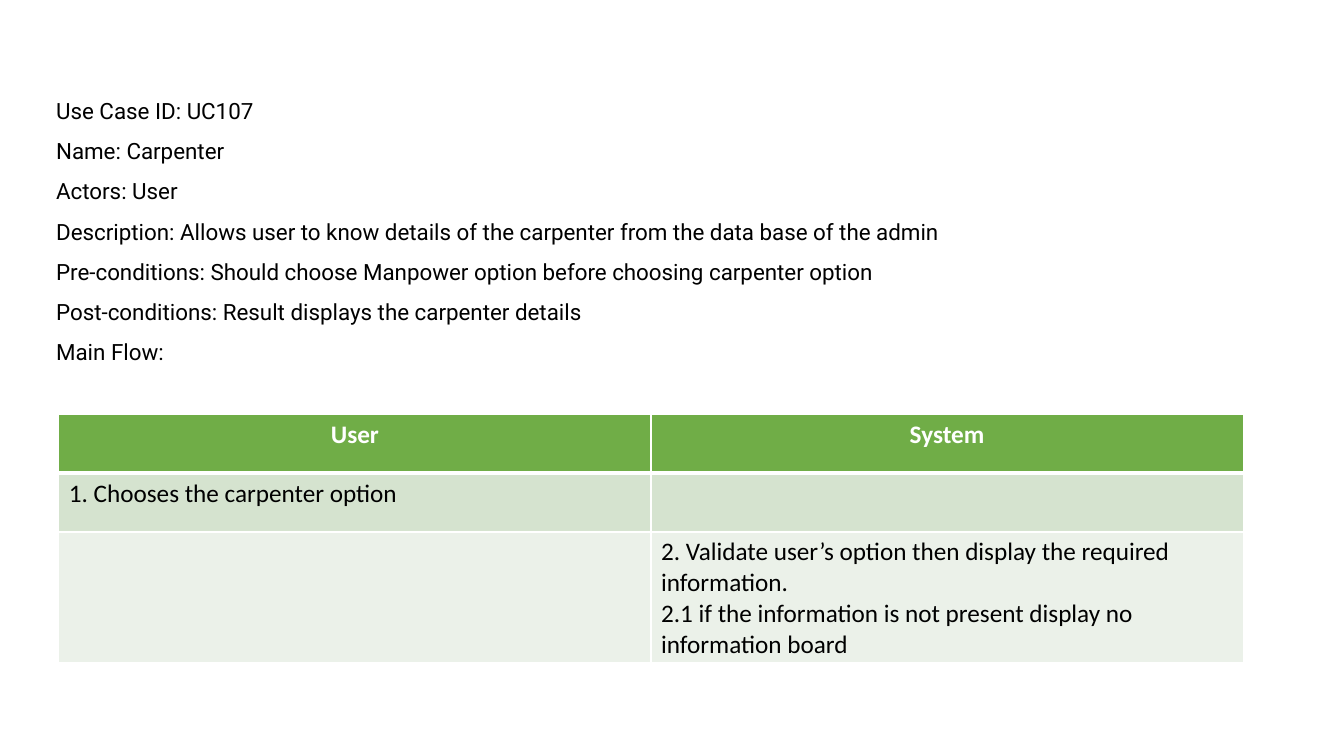
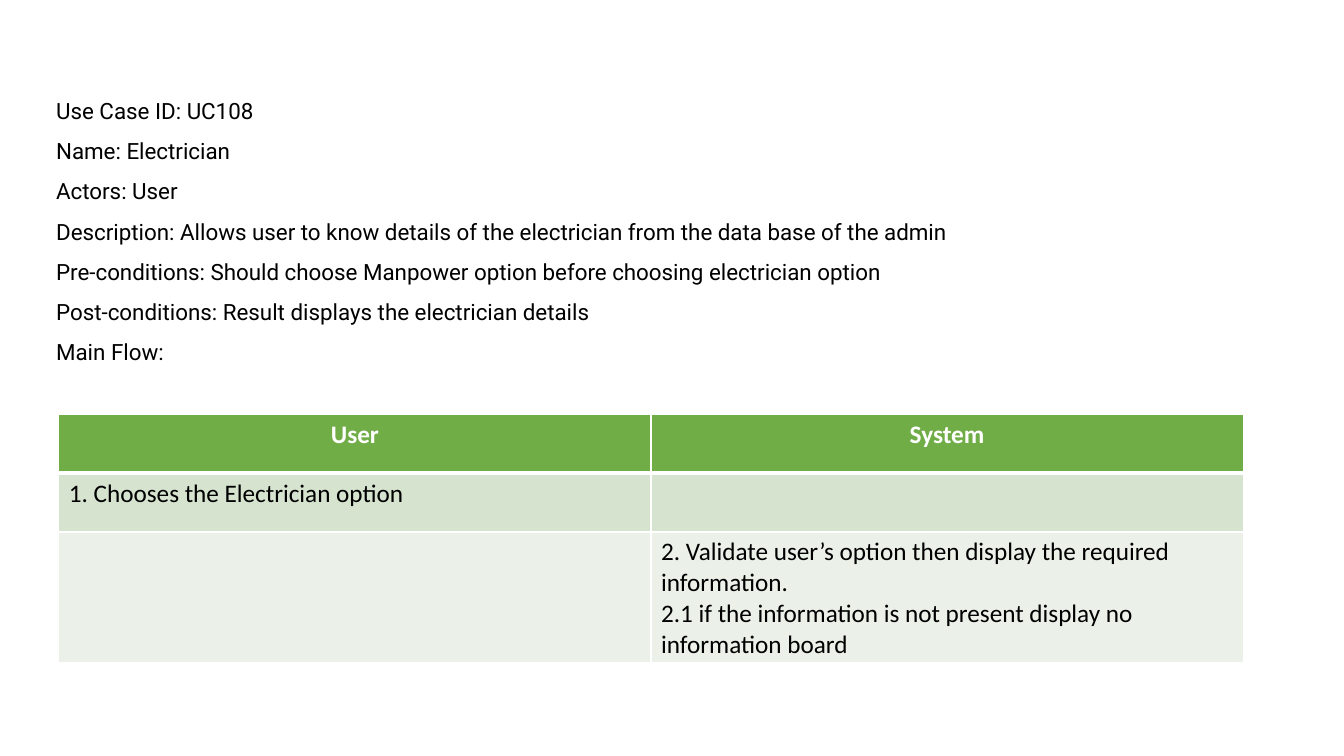
from lxml import etree
from pptx import Presentation
from pptx.dml.color import RGBColor
from pptx.enum.text import MSO_AUTO_SIZE, PP_ALIGN
from pptx.oxml.ns import qn
from pptx.util import Pt

LEFT, CENTER = PP_ALIGN.LEFT, PP_ALIGN.CENTER
FIT_SHAPE = MSO_AUTO_SIZE.SHAPE_TO_FIT_TEXT

COLORS = {
    "text": "000000",
    "white": "FFFFFF",
    "header": "70AD47",
    "band_dark": "D5E3CF",
    "band_light": "EBF1E9",
}
ROW_FILLS = ["header", "band_dark", "band_light"]
ROW_HEIGHTS = [42, 42, 93]
COL_WIDTH = 423

# ID, name, name as written in the first step
USE_CASES = [
    ("UC107", "Carpenter", "carpenter"),
    ("UC108", "Electrician", "Electrician"),
]


def write(tf, lines, font="Calibri", size=18, color="text", bold=False,
          align=LEFT, spacing=None):
    for i, line in enumerate(lines):
        p = tf.add_paragraph() if i else tf.paragraphs[0]
        p.alignment = align
        p.line_spacing = spacing
        r = p.add_run()
        r.text = line
        r.font.name = font
        r.font.size = Pt(size)
        r.font.bold = bold
        r.font.color.rgb = RGBColor.from_string(COLORS[color])


def set_borders(cell, **widths):
    tcPr = cell._tc.get_or_add_tcPr()
    for i, side in enumerate("LRTB"):  # borders come before the fill
        ln = etree.Element(qn(f"a:ln{side}"), w=str(Pt(widths.get(side, 1))))
        fill = etree.SubElement(ln, qn("a:solidFill"))
        etree.SubElement(fill, qn("a:srgbClr"), val=COLORS["white"])
        tcPr.insert(i, ln)


prs = Presentation()
prs.slide_width, prs.slide_height = Pt(960), Pt(540)

for case_id, name, step_name in USE_CASES:
    s = prs.slides.add_slide(prs.slide_layouts[6])
    role = name.lower()

    # Use case summary
    tf = s.shapes.add_textbox(Pt(33), Pt(56), Pt(893), Pt(207)).text_frame
    tf.word_wrap = True
    tf.auto_size = FIT_SHAPE
    write(tf, [
        f"Use Case ID: {case_id}",
        f"Name: {name}",
        "Actors: User",
        f"Description: Allows user to know details of the {role} from the data base of the admin",
        f"Pre-conditions: Should choose Manpower option before choosing {role} option",
        f"Post-conditions: Result displays the {role} details",
        "Main Flow:",
    ], font="Roboto", size=16, spacing=1.5)

    # Main flow table
    rows = [
        [["User"], ["System"]],
        [[f"1. Chooses the {step_name} option"], []],
        [[], ["2. Validate user’s option then display the required information.",
              "2.1 if the information is not present display no information board"]],
    ]
    table = s.shapes.add_table(3, 2, Pt(42), Pt(296), Pt(2 * COL_WIDTH),
                               Pt(sum(ROW_HEIGHTS))).table
    for col in table.columns:
        col.width = Pt(COL_WIDTH)
    for i, row in enumerate(rows):
        table.rows[i].height = Pt(ROW_HEIGHTS[i])
        for j, lines in enumerate(row):
            cell = table.cell(i, j)
            cell.fill.solid()
            cell.fill.fore_color.rgb = RGBColor.from_string(COLORS[ROW_FILLS[i]])
            if i == 0:
                write(cell.text_frame, lines, color="white", bold=True, align=CENTER)
                set_borders(cell, B=3)
            else:
                write(cell.text_frame, lines)
                set_borders(cell, T=3 if i == 1 else 1)

prs.save("out.pptx")
